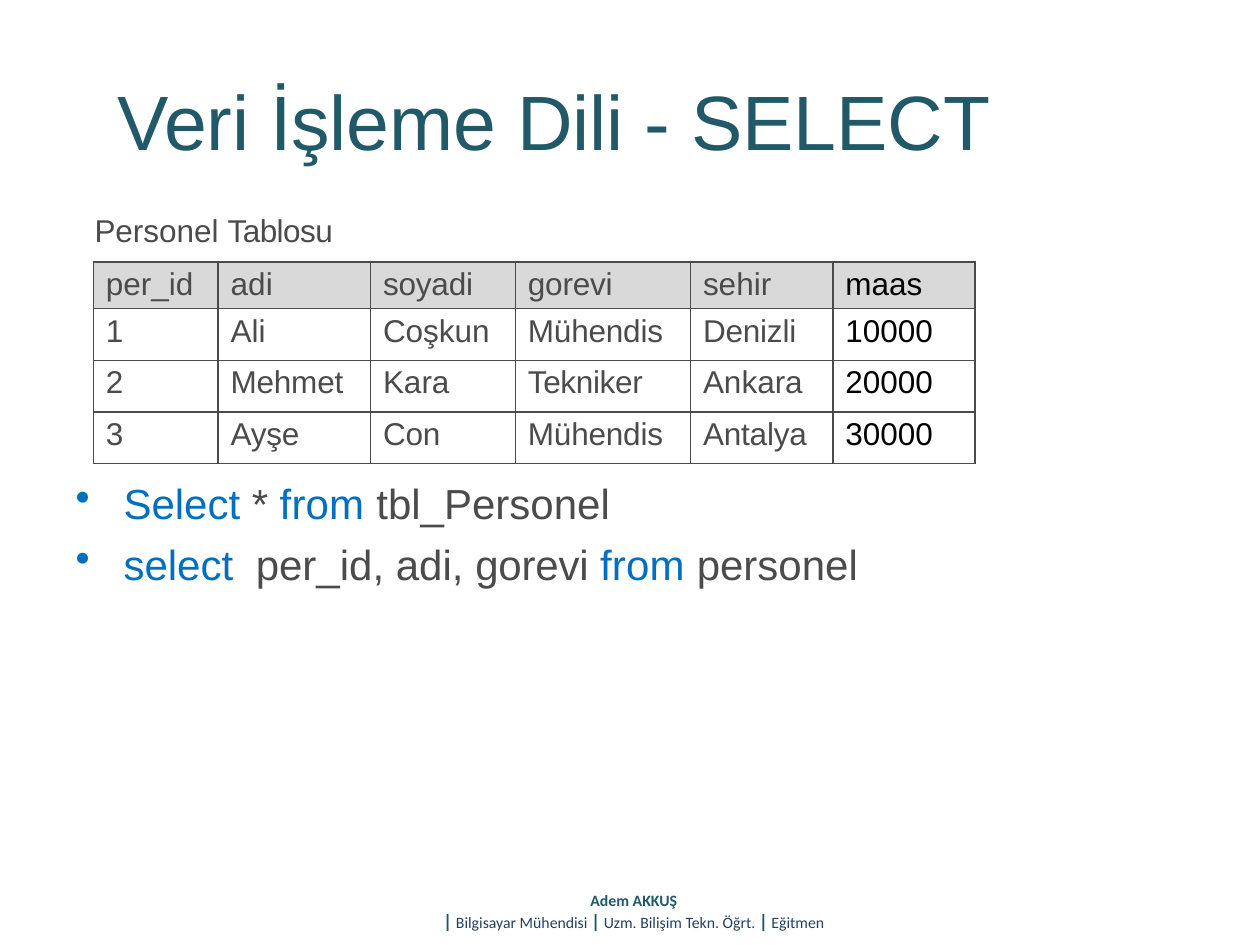
from lxml import etree
from pptx import Presentation, util as u
from pptx.dml.color import RGBColor
from pptx.enum import text
from pptx.oxml.ns import qn

COLORS = {
    "teal": "215968",
    "gray": "4B4B4B",
    "black": "000000",
    "keyword": "006FC0",
    "navy": "254061",
    "header": "D9D9D9",
}
COLUMNS, ROWS = 100, 75


class SlideBuilder:
    def __init__(self, deck):
        self.slide = deck.slides.add_slide(deck.slide_layouts[6])
        self.column = deck.slide_width / COLUMNS
        self.row = deck.slide_height / ROWS

    def box(self, left, top, width, height):
        return (int(left * self.column), int(top * self.row),
                int(width * self.column), int(height * self.row))

    def style(self, run, size, color, font="Arial", spacing=0, bold=False):
        run.font.size = u.Pt(size)
        run.font.name = font
        run.font.bold = bold
        run.font.color.rgb = RGBColor.from_string(COLORS[color])
        if spacing:
            run.font._element.set("spc", str(round(spacing * 100)))

    def indent(self, paragraph, margin, hanging=0):
        properties = paragraph._p.get_or_add_pPr()
        properties.set("marL", str(int(margin * self.column)))
        properties.set("indent", str(int(hanging * self.column)))
        return properties

    def bullet(self, paragraph, margin, hanging, tab):
        properties = self.indent(paragraph, margin, hanging)
        etree.SubElement(properties, qn("a:buChar"), char="•")
        stops = etree.SubElement(properties, qn("a:tabLst"))
        for stop in (margin, tab):
            etree.SubElement(stops, qn("a:tab"),
                             pos=str(int(stop * self.column)), algn="l")

    def text_box(self, box, lines, inset_top=None):
        frame = self.slide.shapes.add_textbox(*self.box(*box)).text_frame
        frame.word_wrap = True
        if inset_top is not None:
            frame.margin_left = frame.margin_right = frame.margin_bottom = 0
            frame.margin_top = int(inset_top * self.row)
        for number, pieces in enumerate(lines):
            paragraph = frame.add_paragraph() if number else frame.paragraphs[0]
            for words, *look in pieces:
                run = paragraph.add_run()
                run.text = words
                self.style(run, *look)
        return frame.paragraphs

    def border(self, cell):
        properties = cell._tc.get_or_add_tcPr()
        for place, side in enumerate(("lnL", "lnR", "lnT", "lnB")):
            line = etree.Element(qn(f"a:{side}"), w=str(u.Pt(1)))
            fill = etree.SubElement(line, qn("a:solidFill"))
            etree.SubElement(fill, qn("a:srgbClr"), val=COLORS["gray"])
            properties.insert(place, line)

    def table(self, left, top, widths, heights, records, spacings):
        box = self.box(left, top, sum(widths), sum(heights))
        table = self.slide.shapes.add_table(len(heights), len(widths), *box).table
        table.first_row = table.horz_banding = False
        for column, width in zip(table.columns, widths):
            column.width = int(width * self.column)
        for row, height in zip(table.rows, heights):
            row.height = int(height * self.row)
        for r, record in enumerate(records):
            for c, value in enumerate(record):
                cell = table.cell(r, c)
                cell.margin_left = cell.margin_right = cell.margin_bottom = 0
                cell.margin_top = int(0.4 * self.row)
                if r:
                    cell.fill.background()
                else:
                    cell.fill.solid()
                    cell.fill.fore_color.rgb = RGBColor.from_string(COLORS["header"])
                self.border(cell)
                paragraph = cell.text_frame.paragraphs[0]
                paragraph.text = value
                paragraph.space_before = u.Pt(3.2 if r else 3.1)
                self.indent(paragraph, 1)
                color = "black" if c == len(record) - 1 else "gray"
                self.style(paragraph.runs[0], 18, color,
                           spacing=spacings.get(value, 0))


def main():
    deck = Presentation()
    deck.slide_width, deck.slide_height = u.Inches(10), u.Inches(7.5)
    page = SlideBuilder(deck)

    title, caption = page.text_box((7.4, 3.8, 85.8, 16.4), [
        [("Veri İşleme Dili - SELECT", 44, "teal", "Arial", -0.1)],
        [("Personel ", 18, "gray"), ("Tablosu", 18, "gray", "Arial", -0.3)],
    ], 2)
    title.space_before = u.Pt(14.7)
    page.indent(title, 1.9)
    caption.space_before = u.Pt(26.3)
    page.indent(caption, 0.1)

    staff = [
        ("per_id", "adi", "soyadi", "gorevi", "sehir", "maas"),
        ("1", "Ali", "Coşkun", "Mühendis", "Denizli", "10000"),
        ("2", "Mehmet", "Kara", "Tekniker", "Ankara", "20000"),
        ("3", "Ayşe", "Con", "Mühendis", "Antalya", "30000"),
    ]
    tightened = ("soyadi", "gorevi", "Mühendis", "Denizli", "Mehmet",
                 "Ayşe", "Con", "Antalya")
    spacings = dict.fromkeys(tightened, -0.1) | {"adi": 0.1, "Tekniker": -0.2}
    page.table(7.4, 20.8, (9.9, 12.1, 11.5, 13.9, 11.3, 11.3),
               (3.7, 4.1, 4.1, 4.1), staff, spacings)

    keyword, plain = (24, "keyword", "Arial"), (24, "gray", "Arial")
    queries = page.text_box((5.9, 37, 62.5, 9.9), [
        [("Select ", *keyword), ("* ", *plain, -0.1),
         ("from ", *keyword, 0.1), ("tbl_Personel", *plain)],
        [("select\t", *keyword), ("per_id, adi, ", *plain),
         ("gorevi ", *plain, -0.1), ("from ", *keyword, 0.1),
         ("personel", *plain)],
    ], 0.9)
    for query, gap in zip(queries, (6.8, 5.8)):
        query.space_before = u.Pt(gap)
        page.bullet(query, 3.9, -3.8, 14.4)

    roles = ("Bilgisayar Mühendisi ", "Uzm. Bilişim Tekn. Öğrt. ", "Eğitmen")
    credits = []
    for role in roles:
        credits += [("|", 11, "teal", "Calibri", 0, True),
                    (f" {role}", 9, "navy", "Calibri")]
    author = [("Adem AKKUŞ", 9, "teal", "Calibri", 0, True)]
    for line in page.text_box((29.3, 70.2, 42, 4.8), [author, credits]):
        line.alignment = text.PP_ALIGN.CENTER

    deck.save("out.pptx")


if __name__ == "__main__":
    main()
